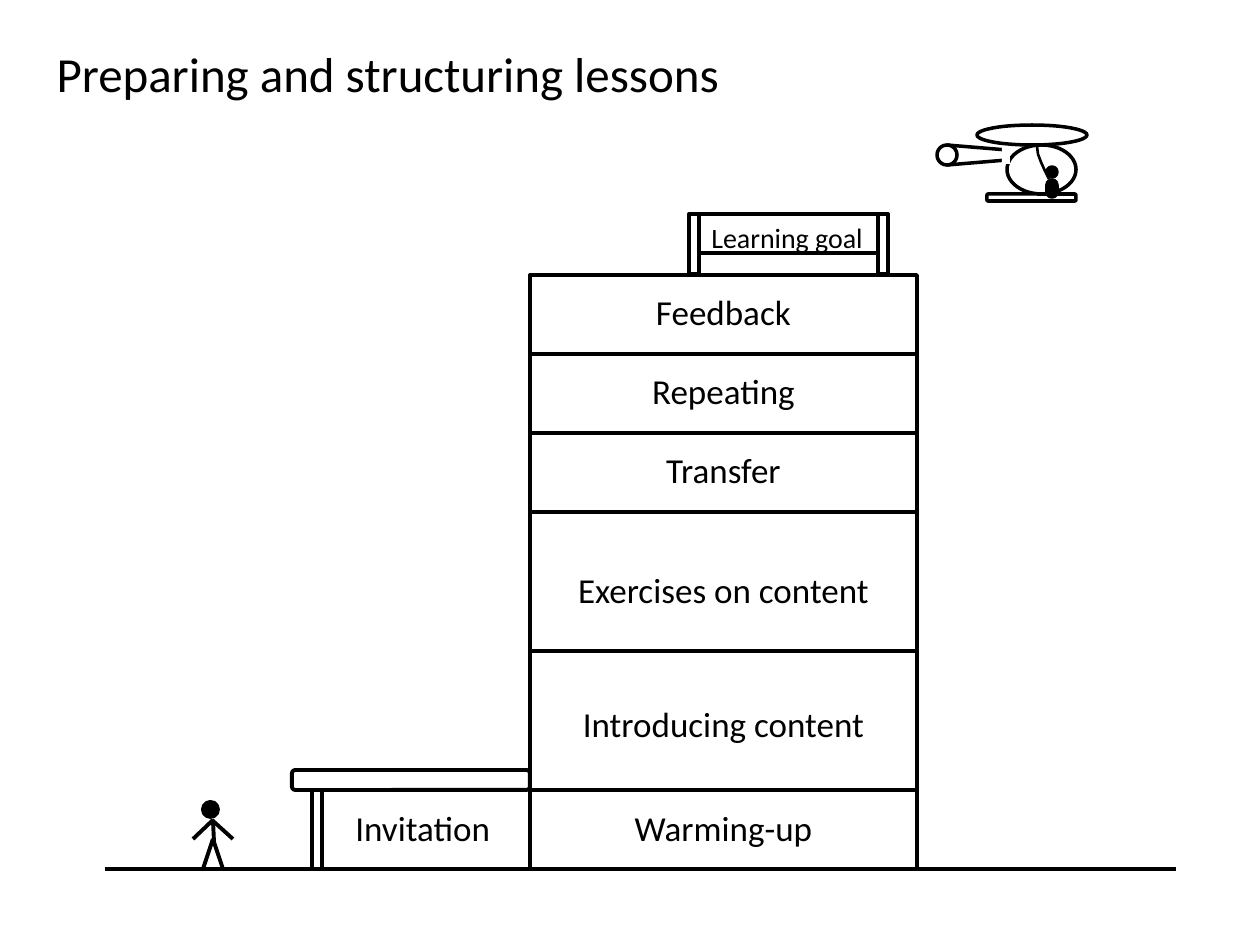
from lxml.etree import SubElement
from pptx import Presentation
from pptx.dml.color import RGBColor
from pptx.enum.shapes import MSO_CONNECTOR, MSO_SHAPE
from pptx.enum.text import MSO_ANCHOR, MSO_AUTO_SIZE, PP_ALIGN
from pptx.oxml.ns import qn
from pptx.util import Emu, Pt

PX = 914400 / 126
COLORS = {"ink": "000000", "paper": "FFFFFF"}
INK = RGBColor.from_string(COLORS["ink"])
RECT, ROUND, OVAL = MSO_SHAPE.RECTANGLE, MSO_SHAPE.ROUNDED_RECTANGLE, MSO_SHAPE.OVAL

prs = Presentation()
prs.slide_width, prs.slide_height = Emu(round(1260 * PX)), Emu(round(945 * PX))
slide = prs.slides.add_slide(prs.slide_layouts[5])
shapes = slide.shapes


def style(shape, fill="paper", line=2.25):
    shape.shadow.inherit = False
    if fill:
        shape.fill.solid()
        shape.fill.fore_color.rgb = RGBColor.from_string(COLORS[fill])
    else:
        shape.fill.background()
    if line:
        shape.line.color.rgb = INK
        shape.line.width = Pt(line)
    else:
        shape.line.fill.background()


def write(box, text, size, align=PP_ALIGN.LEFT, anchor=MSO_ANCHOR.TOP):
    frame = box.text_frame
    frame.text = text
    frame.word_wrap = True
    frame.auto_size = MSO_AUTO_SIZE.NONE
    frame.vertical_anchor = anchor
    paragraph = frame.paragraphs[0]
    paragraph.alignment = align
    paragraph.font.name = "Calibri"
    paragraph.font.size = Pt(size)
    paragraph.font.color.rgb = INK


# Title
title = shapes.title
title.left, title.top, title.width, title.height = [
    Emu(round(v * PX)) for v in (44, 37, 1134, 71)]
write(title, "Preparing and structuring lessons", 28, anchor=MSO_ANCHOR.MIDDLE)

# Ground, then the visitor's legs, body and arms
GROUND = 869
for ends in [
    (105, GROUND, 1176, GROUND),
    (213, 839, 223, GROUND), (213, 839, 203, GROUND),
    (213, 820, 214, 841),
    (212, 820, 233, 839), (213, 820, 193, 839),
]:
    stroke = shapes.add_connector(MSO_CONNECTOR.STRAIGHT, *[Emu(round(v * PX)) for v in ends])
    stroke.line.color.rgb = INK
    stroke.line.width = Pt(2.25)
    SubElement(stroke._element.spPr, qn("a:effectLst"))

# Visitor's head, porch post and roof, sign on the tower with its posts
for kind, place, fill in [
    (OVAL, (203, 802, 15, 15), "ink"),
    (RECT, (312, 790, 10, 79), None),
    (ROUND, (292, 770, 238, 20), "paper"),
    (RECT, (699, 214, 179, 39), "paper"),
    (RECT, (689, 214, 10, 60), None),
    (RECT, (878, 214, 10, 60), None),
]:
    style(shapes.add_shape(kind, *[Emu(round(v * PX)) for v in place]), fill)

# Tower floors from the ground up: label, height, label offset
labels = [
    ("Invitation", (343, 800, 169, 54), 20, PP_ALIGN.LEFT),
    ("Learning goal", (699, 214, 179, 47), 16, PP_ALIGN.LEFT),
]
top = GROUND
for step, height, offset in [
    ("Warming-up", 79, 10),
    ("Introducing content", 139, 45),
    ("Exercises on content", 139, 50),
    ("Transfer", 79, 9),
    ("Repeating", 79, 9),
    ("Feedback", 79, 9),
]:
    top -= height
    place = (530, top, 387, height)
    style(shapes.add_shape(RECT, *[Emu(round(v * PX)) for v in place]))
    labels.append((step, (540, top + offset, 367, 54), 20, PP_ALIGN.CENTER))

for text, place, size, align in labels:
    write(shapes.add_textbox(*[Emu(round(v * PX)) for v in place]), text, size, align)

# Helicopter: cabin, skid, tail boom, tail rotor, main rotor, door, boom joint, pilot
helicopter = shapes.add_group_shape().shapes
for kind, place, fill, line in [
    (OVAL, (1007, 145, 69, 49), "paper", 2),
    (ROUND, (987, 194, 89, 7), "paper", 2),
    ("outline", [(947, 165), (947, 145), (1007, 150), (1007, 160)], "paper", 2),
    (OVAL, (937, 145, 20, 20), "paper", 2),
    (OVAL, (977, 125, 110, 20), "paper", 2),
    ("curve", [(1049, 179), (1045, 171), (1041, 162), (1038, 154), (1037, 146)], None, 1.5),
    (RECT, (1002, 146, 8, 18), "paper", None),
    (OVAL, (1047, 167, 10, 10), "ink", 2),
    (OVAL, (1047, 180, 10, 10), "ink", 2),
    (OVAL, (1047, 187, 10, 10), "ink", 2),
    (RECT, (1047, 186, 10, 8), "ink", 2),
]:
    if kind in ("outline", "curve"):
        builder = helicopter.build_freeform(*place[0], scale=PX)
        builder.add_line_segments(place[1:], close=kind == "outline")
        part = builder.convert_to_shape()
    else:
        part = helicopter.add_shape(kind, *[Emu(round(v * PX)) for v in place])
    style(part, fill, line)

prs.save("out.pptx")
